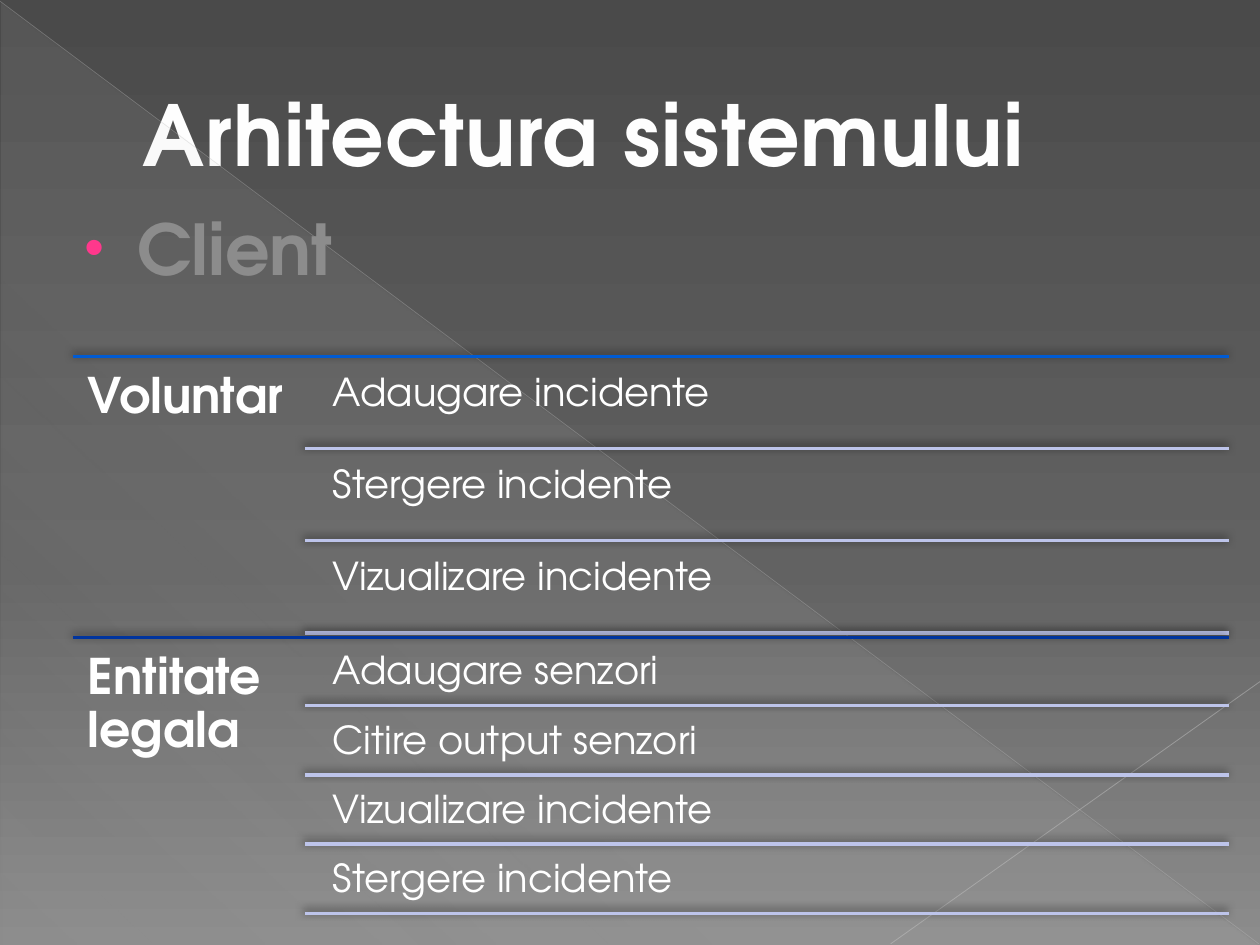
from lxml import etree
from pptx import Presentation
from pptx.dml.color import RGBColor
from pptx.enum.shapes import MSO_CONNECTOR, MSO_SHAPE
from pptx.enum.text import MSO_ANCHOR, PP_ALIGN
from pptx.oxml import parse_xml
from pptx.oxml.ns import nsdecls, qn
from pptx.util import Pt

STRAIGHT = MSO_CONNECTOR.STRAIGHT
RIGHT_TRIANGLE = MSO_SHAPE.RIGHT_TRIANGLE
TOP, MIDDLE = MSO_ANCHOR.TOP, MSO_ANCHOR.MIDDLE
LEFT = PP_ALIGN.LEFT

THEME = {
    "font": "TeX Gyre Adventor",
    "title": {"size": 48, "color": "FEFEFE", "bold": True},
    "heading": {"size": 40, "color": "8C8C8C", "bold": True},
    "role": {"size": 28, "color": "FFFFFF", "bold": True},
    "action": {"size": 22, "color": "FFFFFF", "bold": False},
    "title_outline": "002F8F",
    "heading_outline": "D2D2D2",
    "bullet": "FF388C",
    "row_rule": "BDC4EA",
    "shadow": "000000",
    "backdrop": [(0, "4A4A4A", 100), (60, "626262", 100), (100, "8C8C8C", 100)],
    "triangle": [(0, "D2D2D2", 10), (70, "D2D2D2", 8), (100, "D2D2D2", 1)],
}

TITLE = "Arhitectura sistemului"
HEADING = "Client"
ROLES = [
    {"name": "Voluntar", "rule": "005BD3", "top": 203.8, "rows_top": 203.8,
     "step": 52.6, "height": 49.7,
     "actions": ["Adaugare incidente", "Stergere incidente", "Vizualizare incidente"]},
    {"name": "Entitate legala", "rule": "00349E", "top": 364.3, "rows_top": 363.6,
     "step": 39.6, "height": 37.4,
     "actions": ["Adaugare senzori", "Citire output senzori",
                 "Vizualizare incidente", "Stergere incidente"]},
]
BACKDROP_LINES = [
    ((0, 0.7), (719.3, 539.3), "BFBFBF", 0.39, 35),
    ((720, 389.5), (509, 539.3), "C6C6C6", 0.47, 45),
]
ROLE_LEFT, ROLE_WIDTH, ROLE_HEIGHT = 41.8, 131.8, 159.8
ROW_RULE_LEFT, ACTION_LEFT, RIGHT = 174.2, 183.6, 702


def paint_gradient(owner, stops, angle):
    gradient = next(owner.iter(qn("a:gradFill")))
    for child in list(gradient):
        gradient.remove(child)
    stop_list = etree.SubElement(gradient, qn("a:gsLst"))
    for position, color, opacity in stops:
        stop = etree.SubElement(stop_list, qn("a:gs"), pos=str(position * 1000))
        tint = etree.SubElement(stop, qn("a:srgbClr"), val=color)
        etree.SubElement(tint, qn("a:alpha"), val=str(opacity * 1000))
    etree.SubElement(gradient, qn("a:lin"), ang=str(angle * 60000), scaled="0")


def shadow_effect(blur, distance, angle, color, opacity):
    return parse_xml(
        f'<a:effectLst {nsdecls("a")}><a:outerShdw blurRad="{Pt(blur)}" '
        f'dist="{Pt(distance)}" dir="{angle * 60000}" algn="tl" rotWithShape="0">'
        f'<a:srgbClr val="{color}"><a:alpha val="{opacity * 1000}"/></a:srgbClr>'
        f'</a:outerShdw></a:effectLst>')


def add_line(page, start, end, color, width, opacity=100, shadowed=False):
    line = page.shapes.add_connector(STRAIGHT, *map(Pt, start + end))
    line.line.color.rgb = RGBColor.from_string(color)
    line.line.width = Pt(width)
    properties = line._element.spPr
    if opacity < 100:
        tint = next(properties.iter(qn("a:srgbClr")))
        etree.SubElement(tint, qn("a:alpha"), val=str(opacity * 1000))
    if shadowed:
        properties.append(shadow_effect(5, 2, 245, THEME["shadow"], 50))
    else:
        etree.SubElement(properties, qn("a:effectLst"))


def write(box, text, style, anchor=TOP, inset=None):
    frame = box.text_frame
    frame.text = text
    frame.word_wrap = True
    frame.vertical_anchor = anchor
    if inset is not None:
        frame.margin_left = frame.margin_right = Pt(inset)
        frame.margin_top = frame.margin_bottom = Pt(inset)
    para = frame.paragraphs[0]
    para.alignment = LEFT
    span = para.runs[0]
    span.font.name = THEME["font"]
    span.font.size = Pt(THEME[style]["size"])
    span.font.bold = THEME[style]["bold"]
    span.font.color.rgb = RGBColor.from_string(THEME[style]["color"])
    return para, span


def add_text(page, area, text, style, inset=None):
    box = page.shapes.add_textbox(*map(Pt, area))
    return write(box, text, style, inset=inset)


def outline(span, color):
    span.font._element.insert(0, parse_xml(
        f'<a:ln w="{Pt(1)}" {nsdecls("a")}><a:solidFill><a:srgbClr val="{color}"/>'
        f'</a:solidFill></a:ln>'))


def add_backdrop(page):
    page.background.fill.gradient()
    paint_gradient(page.background._cSld, THEME["backdrop"], 90)
    triangle = page.shapes.add_shape(RIGHT_TRIANGLE, Pt(0.7), Pt(1.4), Pt(718.6), Pt(538.6))
    triangle.shadow.inherit = False
    triangle.line.fill.background()
    triangle.fill.gradient()
    paint_gradient(triangle._element.spPr, THEME["triangle"], 133)
    for start, end, color, width, opacity in BACKDROP_LINES:
        add_line(page, start, end, color, width, opacity)


def add_title(page):
    title = page.shapes.title
    title.left, title.top, title.width, title.height = map(Pt, (36, 20.9, 648, 110.2))
    para, span = write(title, TITLE, "title", MIDDLE)
    para._p.get_or_add_pPr().set("marL", str(Pt(38.2)))
    properties = span.font._element
    properties.set("spc", "50")
    outline(span, THEME["title_outline"])
    fill = properties.find(qn("a:solidFill"))
    fill.addnext(shadow_effect(3, 2, 45, THEME["title_outline"], 60))


def add_heading(page):
    para, span = add_text(page, (36, 113.8, 648, 60), HEADING, "heading")
    properties = para._p.get_or_add_pPr()
    properties.set("marL", str(Pt(35.3)))
    properties.set("indent", str(Pt(-30.2)))
    color = etree.SubElement(properties, qn("a:buClr"))
    etree.SubElement(color, qn("a:srgbClr"), val=THEME["bullet"])
    etree.SubElement(properties, qn("a:buSzPct"), val="80000")
    etree.SubElement(properties, qn("a:buFont"), typeface="Arial")
    etree.SubElement(properties, qn("a:buChar"), char="•")
    outline(span, THEME["heading_outline"])


def add_role(page, role):
    top = role["top"]
    add_line(page, (ROLE_LEFT, top), (RIGHT, top), role["rule"], 2, shadowed=True)
    para, _ = add_text(page, (ROLE_LEFT, top, ROLE_WIDTH, ROLE_HEIGHT),
                       role["name"], "role", 8.4)
    para.line_spacing = 0.9
    for number, action in enumerate(role["actions"], 1):
        bottom = role["rows_top"] + number * role["step"]
        area = (ACTION_LEFT, bottom - role["height"], RIGHT - ACTION_LEFT, role["height"])
        para, _ = add_text(page, area, action, "action", 6.6)
        para.line_spacing = 0.9
        add_line(page, (ROW_RULE_LEFT, bottom), (RIGHT, bottom),
                 THEME["row_rule"], 2, shadowed=True)


def main():
    deck = Presentation()
    deck.slide_width, deck.slide_height = Pt(720), Pt(540)
    page = deck.slides.add_slide(deck.slide_layouts[5])
    add_backdrop(page)
    add_title(page)
    add_heading(page)
    for role in ROLES:
        add_role(page, role)
    deck.save("out.pptx")


if __name__ == "__main__":
    main()
